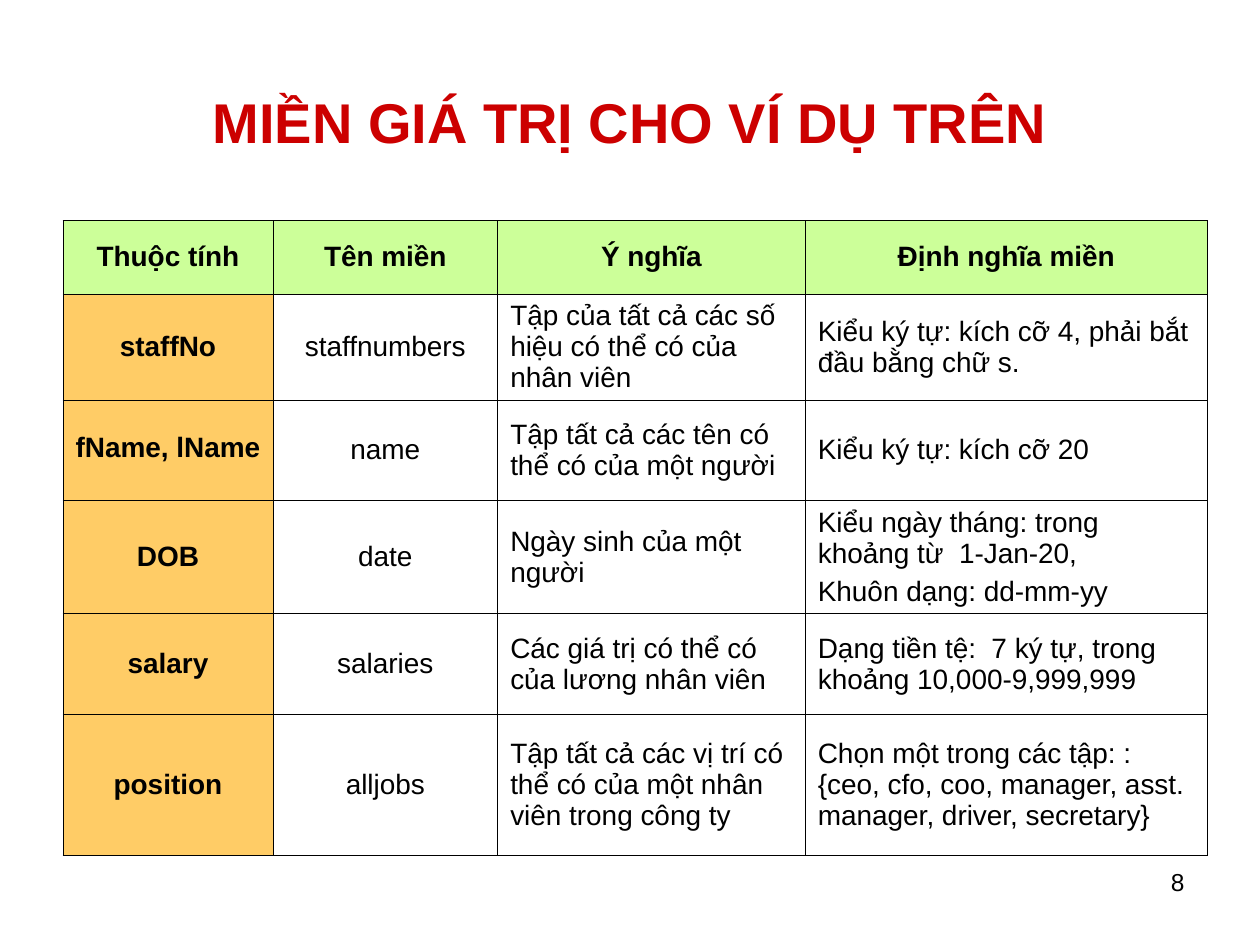
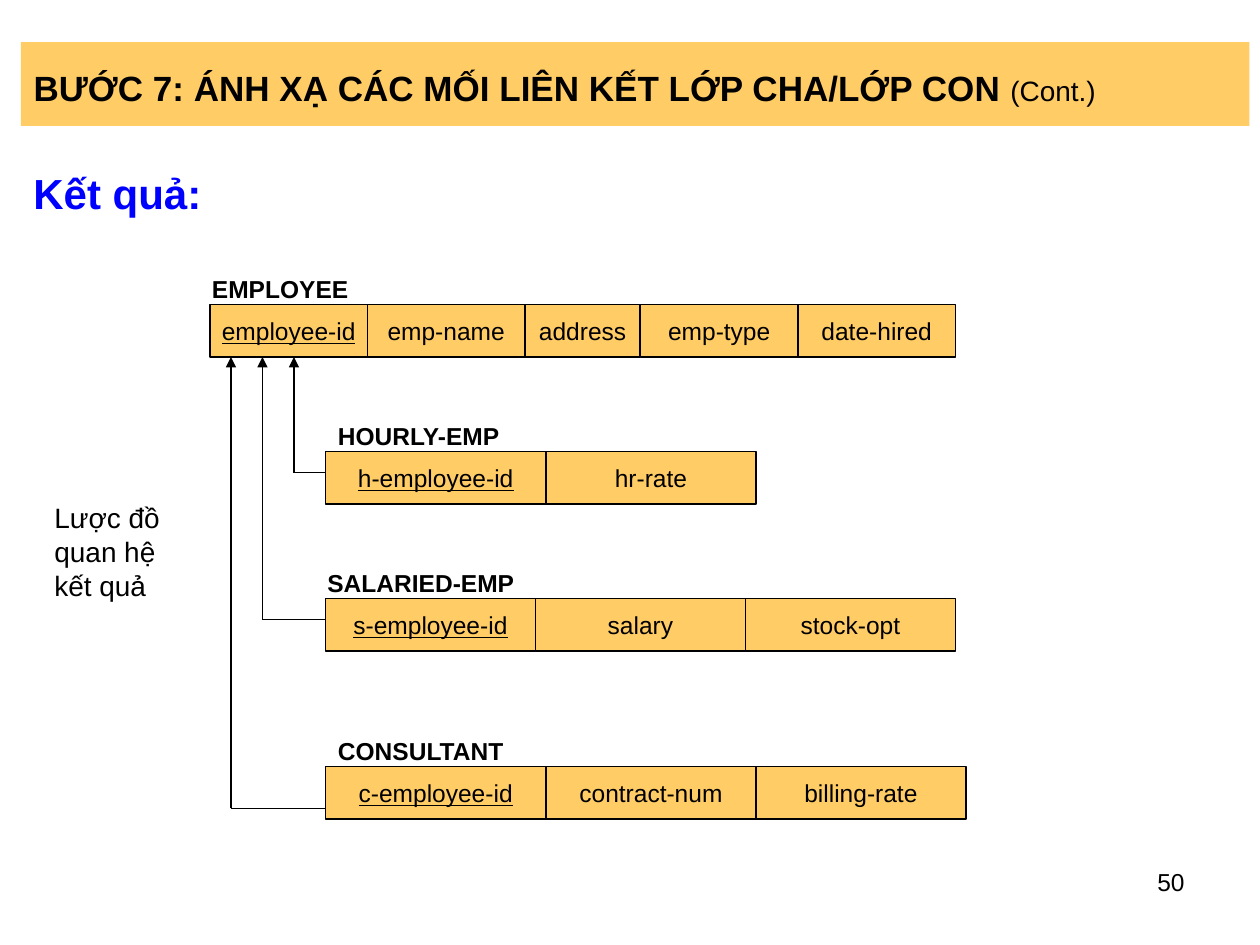
from itertools import accumulate

from lxml import etree
from pptx import Presentation
from pptx.dml.color import RGBColor
from pptx.enum.shapes import MSO_CONNECTOR, MSO_SHAPE
from pptx.enum.text import MSO_ANCHOR, MSO_AUTO_SIZE, PP_ALIGN
from pptx.oxml.ns import qn
from pptx.util import Inches, Pt

LEFT, MID, RIGHT = PP_ALIGN.LEFT, PP_ALIGN.CENTER, PP_ALIGN.RIGHT
TOP, CENTER = MSO_ANCHOR.TOP, MSO_ANCHOR.MIDDLE
FIXED = MSO_AUTO_SIZE.NONE
RECT, LINE = MSO_SHAPE.RECTANGLE, MSO_CONNECTOR.STRAIGHT
TITLE_ONLY = 5

# Shared style
FONT = "Arial"
BLACK, RED, BLUE = "000000", "CC0000", "0000FF"
GOLD, GREEN = "FFCC66", "CCFF99"
BODY, SMALL = 16, 14
LOOSE = 1.15

# Grid of 120 columns by 90 rows
COLS, ROWS = 120, 90
WIDE, HIGH = Inches(10), Inches(7.5)


def color(code):
    return RGBColor.from_string(code)


class Deck:
    def __init__(self):
        self.prs = Presentation()
        self.prs.slide_width, self.prs.slide_height = WIDE, HIGH
        self.slide = None

    def place(self, x, y):
        return round(x * WIDE / COLS), round(y * HIGH / ROWS)

    def box(self, x, y, w, h):
        return *self.place(x, y), *self.place(w, h)

    def ink(self, run, size, tint=BLACK, bold=False, under=False):
        font = run.font
        font.name, font.size, font.bold = FONT, Pt(size), bold
        font.underline = under
        font.color.rgb = color(tint)

    def fill_text(self, frame, text, size, align=LEFT, space=None, before=0,
                  **look):
        frame.text = text
        for para in frame.paragraphs:
            para.alignment = align
            para.line_spacing = space
            para.space_before = Pt(before)
            for run in para.runs:
                self.ink(run, size, **look)

    def page(self, number):
        layout = self.prs.slide_layouts[TITLE_ONLY]
        self.slide = self.prs.slides.add_slide(layout)
        self.text(number, (86, 82, 28, 6.25), SMALL, anchor=TOP, wrap=True,
                  align=RIGHT)

    def title(self, text, area, size, fill=None, **look):
        head = self.slide.shapes.title
        head.left, head.top, head.width, head.height = self.box(*area)
        if fill:
            head.fill.solid()
            head.fill.fore_color.rgb = color(fill)
        frame = head.text_frame
        frame.auto_size, frame.vertical_anchor = FIXED, CENTER
        self.fill_text(frame, text, size, space=LOOSE, bold=True, **look)
        return frame.paragraphs[0]

    def text(self, text, area, size, anchor=CENTER, wrap=False, **look):
        frame = self.slide.shapes.add_textbox(*self.box(*area)).text_frame
        frame.word_wrap, frame.auto_size = wrap, FIXED
        frame.vertical_anchor = anchor
        self.fill_text(frame, text, size, **look)

    def field(self, text, area, key):
        shape = self.slide.shapes.add_shape(RECT, *self.box(*area))
        shape.shadow.inherit = False
        shape.fill.solid()
        shape.fill.fore_color.rgb = color(GOLD)
        shape.line.color.rgb = color(BLACK)
        shape.line.width = Pt(1)
        frame = shape.text_frame
        frame.word_wrap, frame.vertical_anchor = False, CENTER
        self.fill_text(frame, text, SMALL, align=MID, under=key)

    def schema(self, name, x, y, fields, shift=0):
        """A named row of fields; the first one is the key."""
        for i, (text, width) in enumerate(fields):
            left = x + sum(w for _, w in fields[:i])
            self.field(text, (left, y, width, 5), key=i == 0)
        self.text(name, (x + shift, y - 4, 16, 5), SMALL, bold=True)

    def line(self, start, end, arrow=False):
        link = self.slide.shapes.add_connector(
            LINE, *self.place(*start), *self.place(*end))
        link.line.color.rgb = color(BLACK)
        link.line.width = Pt(1)
        props = link._element.spPr
        if arrow:
            etree.SubElement(props.find(qn("a:ln")), qn("a:tailEnd"),
                             type="triangle")
        etree.SubElement(props, qn("a:effectLst"))

    def border(self, cell):
        props = cell._tc.get_or_add_tcPr()
        for side in ("lnL", "lnR", "lnT", "lnB"):
            edge = etree.SubElement(props, qn(f"a:{side}"), w=str(Pt(0.45)))
            fill = etree.SubElement(edge, qn("a:solidFill"))
            etree.SubElement(fill, qn("a:srgbClr"), val=BLACK)

    def table(self, x, y, widths, heights, rows):
        area = self.box(x, y, sum(widths), sum(heights))
        grid = self.slide.shapes.add_table(
            len(rows), len(widths), *area).table
        grid.first_row = grid.horz_banding = False
        for col, width in zip(grid.columns, widths):
            col.width = self.place(width, 0)[0]
        for row, height in zip(grid.rows, heights):
            row.height = self.place(0, height)[1]
        for r, row in enumerate(rows):
            for c, text in enumerate(row):
                self.cell(grid.cell(r, c), text, r == 0, c)

    def cell(self, cell, text, head, col):
        self.border(cell)
        cell.vertical_anchor = CENTER
        fill = GREEN if head else GOLD if col == 0 else None
        if fill:
            cell.fill.solid()
            cell.fill.fore_color.rgb = color(fill)
        else:
            cell.fill.background()
        self.fill_text(cell.text_frame, text, BODY, before=4,
                       bold=bool(fill), align=MID if head or col < 2 else LEFT)
        if text == "fName, lName":
            para = cell.text_frame.paragraphs[0]
            para.line_spacing, para.space_before = 0.8, Pt(0)


DOMAINS = [
    ("Thuộc tính", "Tên miền", "Ý nghĩa", "Định nghĩa miền"),
    ("staffNo", "staffnumbers",
     "Tập của tất cả các số hiệu có thể có của nhân viên",
     "Kiểu ký tự: kích cỡ 4, phải bắt đầu bằng chữ s."),
    ("fName, lName", "name", "Tập tất cả các tên có thể có của một người",
     "Kiểu ký tự: kích cỡ 20"),
    ("DOB", "date", "Ngày sinh của một người",
     "Kiểu ngày tháng: trong khoảng từ  1-Jan-20,\nKhuôn dạng: dd-mm-yy"),
    ("salary", "salaries", "Các giá trị có thể có của lương nhân viên",
     "Dạng tiền tệ:  7 ký tự, trong khoảng 10,000-9,999,999"),
    ("position", "alljobs",
     "Tập tất cả các vị trí có thể có của một nhân viên trong công ty",
     "Chọn một trong các tập: : {ceo, cfo, coo, manager, asst. manager, "
     "driver, secretary}"),
]

# Name, left, top, fields with widths, shift of the name
SCHEMAS = [
    ("EMPLOYEE", 20, 29,
     [("employee-id", 15), ("emp-name", 15), ("address", 11),
      ("emp-type", 15), ("date-hired", 15)], -1),
    ("HOURLY-EMP", 31, 43, [("h-employee-id", 21), ("hr-rate", 20)], 0),
    ("SALARIED-EMP", 31, 57,
     [("s-employee-id", 20), ("salary", 20), ("stock-opt", 20)], -1),
    ("CONSULTANT", 31, 73,
     [("c-employee-id", 21), ("contract-num", 20), ("billing-rate", 20)], 0),
]


def domains(deck):
    deck.page("8")
    head = deck.title("MIỀN GIÁ TRỊ CHO VÍ DỤ TRÊN", (6, 3.6, 108, 15), 32,
                      tint=RED)
    head.alignment = MID
    deck.table(6, 21, (20, 21.4, 29.3, 38.3),
               (7, 9.8, 9.6, 10.4, 9.6, 13.4), DOMAINS)


def mapping(deck):
    deck.page("50")
    head = deck.title("BƯỚC 7: ÁNH XẠ CÁC MỐI LIÊN KẾT LỚP CHA/LỚP CON ",
                      (2, 4, 117, 8), 20, fill=GOLD)
    more = head.add_run()
    more.text = "(Cont.)"
    deck.ink(more, BODY)
    deck.text("Kết quả:", (2, 14, 117, 8), 24, wrap=True, space=LOOSE,
              tint=BLUE, bold=True)
    deck.text("Lược đồ\nquan hệ\nkết quả", (4, 43, 22, 19), BODY)

    for schema in SCHEMAS:
        deck.schema(*schema)

    # Foreign keys point up to employee-id, three columns apart
    lanes = accumulate((28, -3, -3))
    for x, y in zip(lanes, (45, 59, 77)):
        deck.line((31, y), (x, y))
        deck.line((x, y), (x, 34), arrow=True)


def main():
    deck = Deck()
    domains(deck)
    mapping(deck)
    deck.prs.save("out.pptx")


if __name__ == "__main__":
    main()
